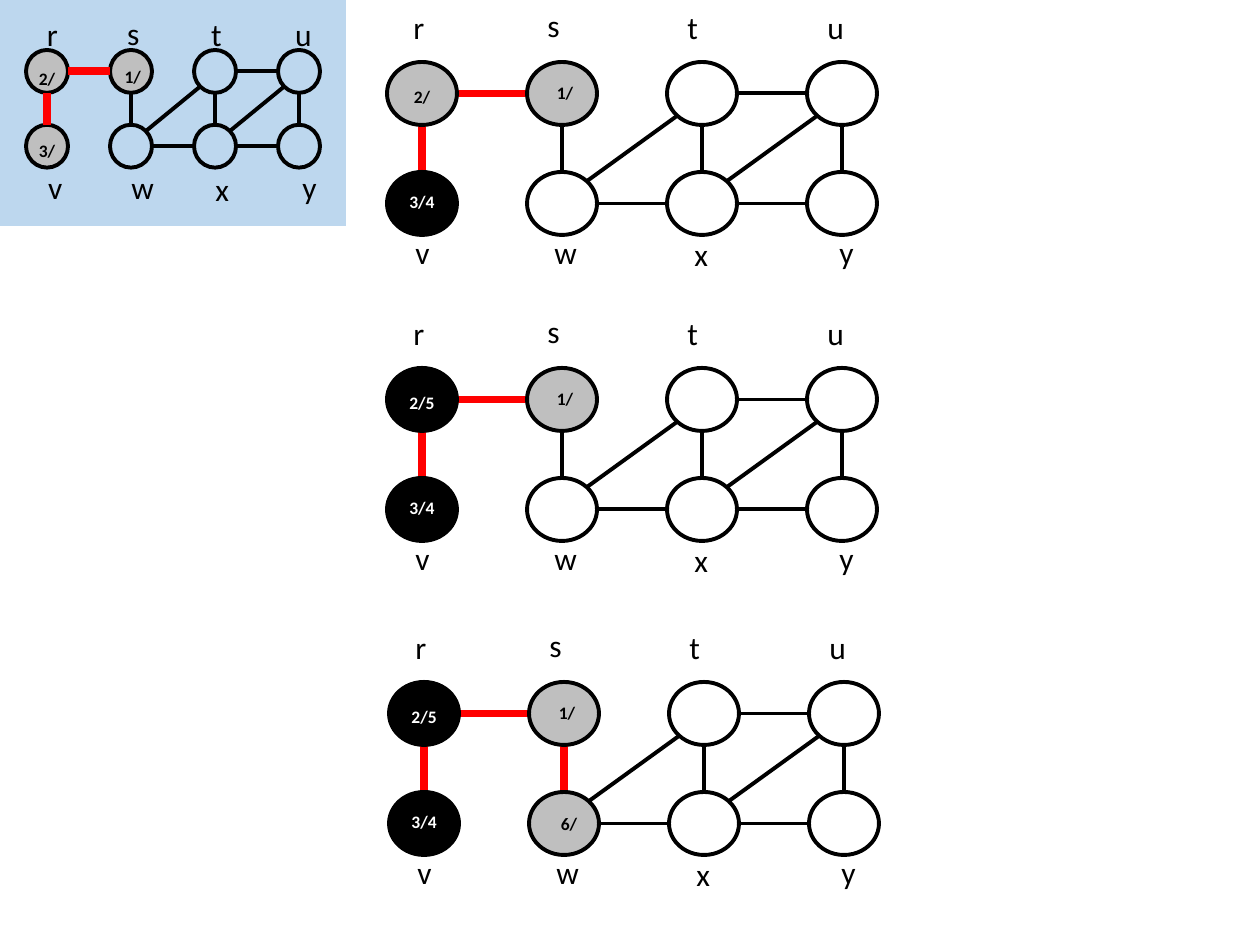
from dataclasses import dataclass
from math import hypot

from lxml.etree import SubElement
from pptx import Presentation
from pptx.dml.color import RGBColor
from pptx.enum.shapes import MSO_CONNECTOR, MSO_SHAPE
from pptx.enum.text import MSO_AUTO_SIZE, PP_ALIGN
from pptx.oxml.ns import qn
from pptx.util import Emu, Pt

PX_PER_INCH = 126


@dataclass(frozen=True)
class Theme:
    font: str = "Calibri"
    ink: RGBColor = RGBColor(0, 0, 0)
    finished_text: RGBColor = RGBColor(255, 255, 255)
    discovered: RGBColor = RGBColor(0xBF, 0xBF, 0xBF)
    tree_edge: RGBColor = RGBColor(255, 0, 0)
    panel: RGBColor = RGBColor(0xBD, 0xD7, 0xEE)
    name_size: int = 18
    time_size: int = 10
    line_width: float = 2.25
    tree_width: float = 4.5


@dataclass(frozen=True)
class Vertex:
    """Grid cell, and the name and time boxes as offsets from the node corner."""
    column: int
    row: int
    name_offset: tuple
    name_width: int = 70
    time_offset: tuple = (0, 0)


@dataclass(frozen=True)
class Step:
    """One state of the search; times maps a vertex to its discover/finish text."""
    left: int
    top: int
    times: dict
    tree: tuple
    x_scale: float = 1
    y_scale: float = 1
    tree_in_front: bool = False

    def box(self, vertex, offset, size):
        x = vertex.column * PITCH[0] + offset[0]
        y = vertex.row * PITCH[1] + offset[1]
        return (self.left + x * self.x_scale, self.top + y * self.y_scale,
                size[0] * self.x_scale, size[1] * self.y_scale)

    def node_box(self, vertex):
        return self.box(vertex, (0, 0), NODE)


THEME = Theme()
NODE = (70, 63)
PITCH = (140, 110)
NAME_HEIGHT = 77
TIME_BOX = (122, 34)
VERTICES = {
    "r": Vertex(0, 0, (14, -60), time_offset=(-26, 18)),
    "s": Vertex(1, 0, (8, -62), time_offset=(-23, 14)),
    "t": Vertex(2, 0, (8, -60)),
    "u": Vertex(3, 0, (8, -60)),
    "v": Vertex(0, 1, (16, 55), time_offset=(-26, 13)),
    "w": Vertex(1, 1, (15, 55), 76, time_offset=(-21, 15)),
    "x": Vertex(2, 1, (15, 57), 76),
    "y": Vertex(3, 1, (20, 55), 76),
}
EDGES = ("rv", "rs", "sw", "wt", "wx", "tx", "tu", "ux", "uy", "yx")
STEPS = (
    Step(26, 50, {"s": "1/", "r": "2/", "v": "3/"}, ("rv", "rs"), 0.6, 0.68, True),
    Step(387, 62, {"s": "1/", "r": "2/", "v": "3/4"}, ("rv", "rs")),
    Step(387, 368, {"s": "1/", "r": "2/5", "v": "3/4"}, ("rv", "rs")),
    Step(389, 682, {"s": "1/", "r": "2/5", "v": "3/4", "w": "6/"},
         ("sw", "rv", "rs")),
)


def px(length):
    return Emu(round(length * 914400 / PX_PER_INCH))


def is_finished(time):
    return not time.endswith("/")


def add_panel(shapes, width, height):
    panel = shapes.add_shape(MSO_SHAPE.RECTANGLE, 0, 0, px(width), px(height))
    panel.shadow.inherit = False
    panel.fill.solid()
    panel.fill.fore_color.rgb = THEME.panel
    panel.line.fill.background()


def add_node(shapes, box, time):
    node = shapes.add_shape(MSO_SHAPE.OVAL, *map(px, box))
    node.shadow.inherit = False
    if time:
        node.fill.solid()
        node.fill.fore_color.rgb = THEME.ink if is_finished(time) else THEME.discovered
    else:
        node.fill.background()
    node.line.color.rgb = THEME.ink
    node.line.width = Pt(THEME.line_width)


def add_text(shapes, box, text, size, color, bold=False, align=PP_ALIGN.LEFT):
    frame = shapes.add_textbox(*map(px, box)).text_frame
    frame.word_wrap = True
    frame.auto_size = MSO_AUTO_SIZE.SHAPE_TO_FIT_TEXT
    paragraph = frame.paragraphs[0]
    paragraph.alignment = align
    run = paragraph.add_run()
    run.text = text
    run.font.name = THEME.font
    run.font.size = Pt(size)
    run.font.bold = bold
    run.font.color.rgb = color


def rim_point(box, dx, dy):
    """Point where the ellipse in box is left in grid direction (dx, dy)."""
    left, top, width, height = box
    reach = hypot(dx, dy)
    return (px(left + width / 2 * (1 + dx / reach)),
            px(top + height / 2 * (1 + dy / reach)))


def add_edge(shapes, step, edge):
    start, end = (VERTICES[name] for name in edge)
    dx, dy = end.column - start.column, end.row - start.row
    line = shapes.add_connector(
        MSO_CONNECTOR.STRAIGHT,
        *rim_point(step.node_box(start), dx, dy),
        *rim_point(step.node_box(end), -dx, -dy))
    in_tree = edge in step.tree
    line.line.color.rgb = THEME.tree_edge if in_tree else THEME.ink
    line.line.width = Pt(THEME.tree_width if in_tree else THEME.line_width)
    SubElement(line._element.spPr, qn("a:effectLst"))


def add_graph(slide, step):
    shapes = slide.shapes.add_group_shape().shapes
    behind = () if step.tree_in_front else step.tree
    for edge in behind:
        add_edge(shapes, step, edge)
    for name, vertex in VERTICES.items():
        add_node(shapes, step.node_box(vertex), step.times.get(name))
    for edge in EDGES:
        if edge not in behind:
            add_edge(shapes, step, edge)
    for name, vertex in VERTICES.items():
        box = step.box(vertex, vertex.name_offset, (vertex.name_width, NAME_HEIGHT))
        add_text(shapes, box, name, THEME.name_size, THEME.ink)
    for name, time in step.times.items():
        vertex = VERTICES[name]
        color = THEME.finished_text if is_finished(time) else THEME.ink
        add_text(shapes, step.box(vertex, vertex.time_offset, TIME_BOX), time,
                 THEME.time_size, color, bold=True, align=PP_ALIGN.CENTER)


def main():
    deck = Presentation()
    deck.slide_width, deck.slide_height = px(1260), px(945)
    slide = deck.slides.add_slide(deck.slide_layouts.get_by_name("Blank"))
    add_panel(slide.shapes, 346, 226)
    for step in STEPS:
        add_graph(slide, step)
    deck.save("out.pptx")


if __name__ == "__main__":
    main()
